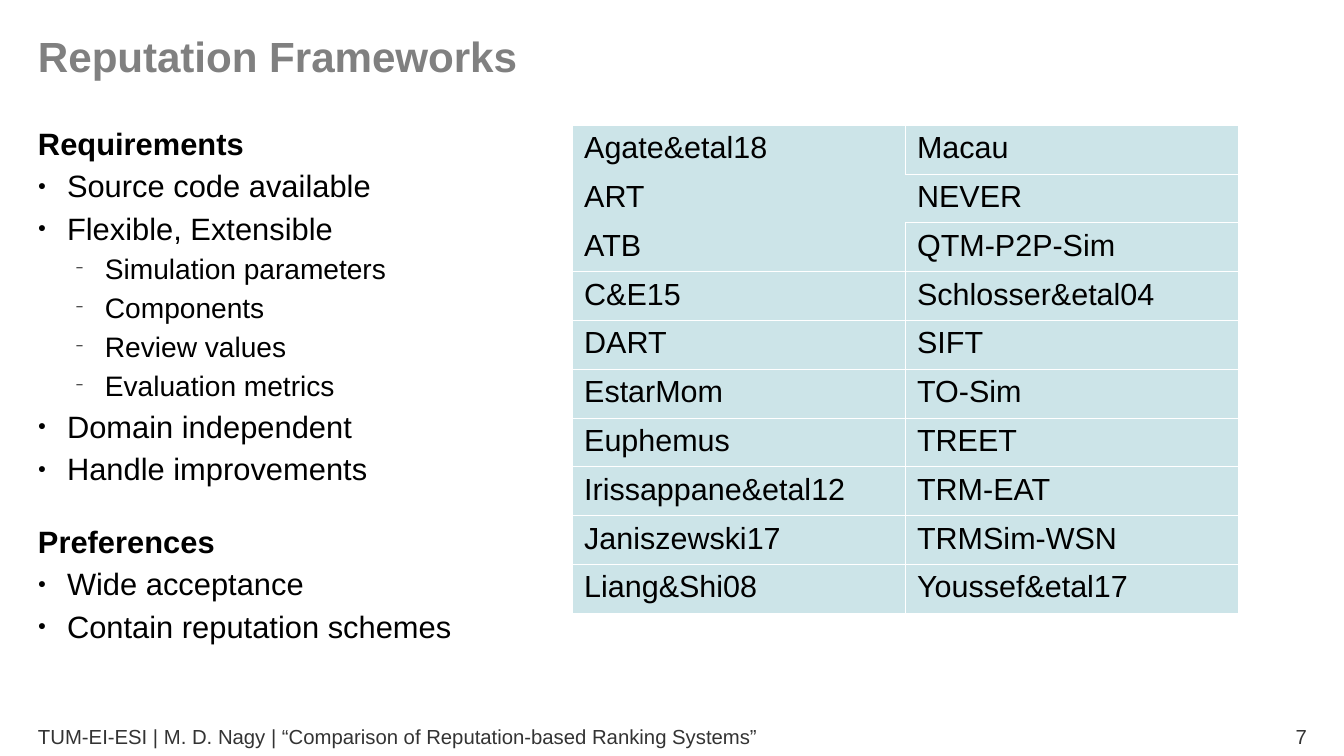
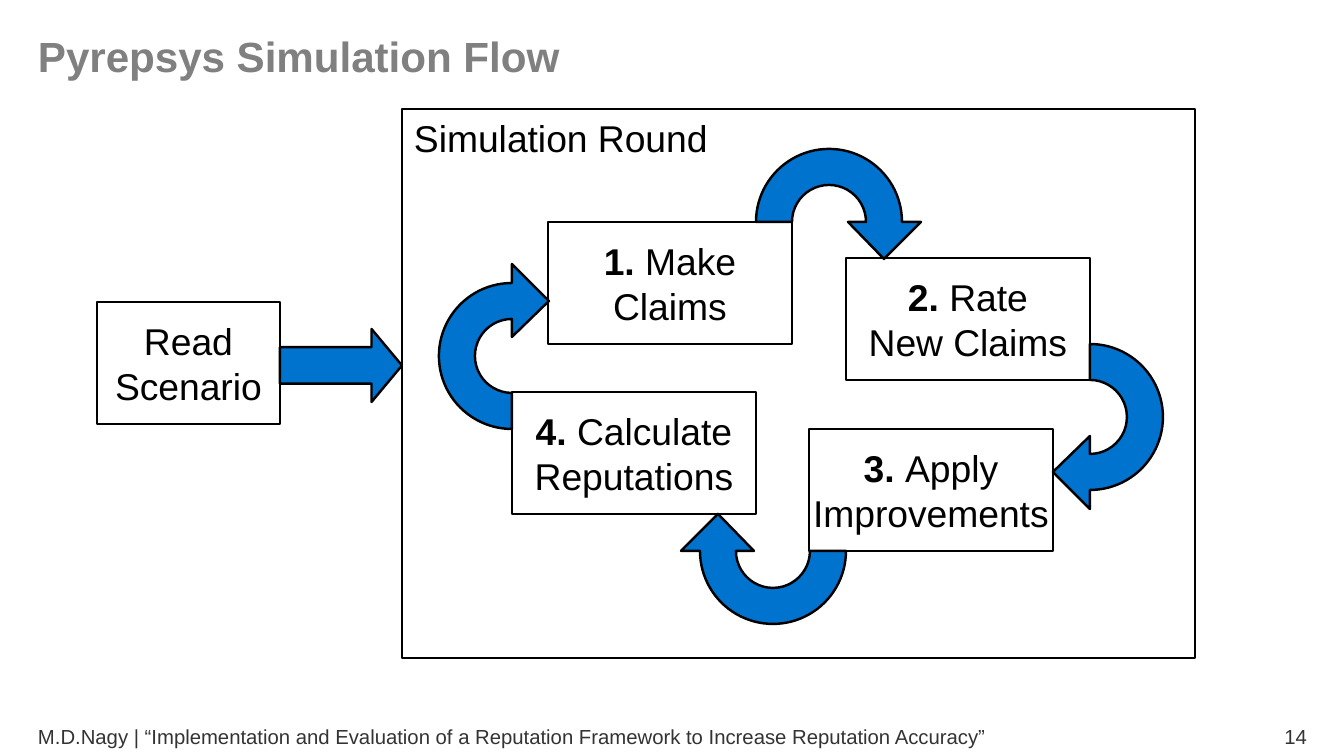
from dataclasses import dataclass

import pptx
import pptx.util
import pptx.dml.color
import pptx.enum.shapes
import pptx.enum.text
import pptx.oxml
import pptx.oxml.ns
from lxml import etree

SHAPE = pptx.enum.shapes.MSO_SHAPE
ALIGN = pptx.enum.text.PP_ALIGN
ANCHOR = pptx.enum.text.MSO_ANCHOR
PX_PER_INCH = 122
TWO_CONTENT, TITLE_ONLY = 3, 5
QUARTER = 90 * 60000


@dataclass(frozen=True)
class Theme:
    font: str = "Arial"
    title: str = "808080"
    text: str = "000000"
    footer: str = "333333"
    outline: str = "000000"
    paper: str = "FFFFFF"
    arrow: str = "0073CF"
    cell: str = "CCE4E8"
    title_size: float = 24.9
    list_sizes: tuple = (18.2, 16.6)
    table_size: float = 18
    diagram_size: float = 22
    footer_size: float = 12
    outline_width: float = 1.45
    cell_border_width: float = 0.06


def px(length):
    return pptx.util.Emu(round(length * 914400 / PX_PER_INCH))


def rgb(code):
    return pptx.dml.color.RGBColor.from_string(code)


def add_xml(parent, tag, **attributes):
    return etree.SubElement(parent, pptx.oxml.ns.qn(tag), attributes)


class Deck:
    """Holds the theme and the slide being filled."""

    def __init__(self, theme):
        self.theme = theme
        self.presentation = pptx.Presentation()
        self.presentation.slide_width = px(1344)
        self.presentation.slide_height = px(756)
        self.slide = None

    def start_slide(self, layout, title, footer, number):
        theme = self.theme
        self.slide = self.presentation.slides.add_slide(self.presentation.slide_layouts[layout])
        frame = self.place(self.slide.shapes.title, 38, 32, 1158, 48, ANCHOR.MIDDLE)
        frame.text = title
        frame.paragraphs[0].alignment = ALIGN.LEFT
        self.style(frame.paragraphs[0], theme.title_size, theme.title, True)
        self.footer_text(footer, 38, 953, ALIGN.LEFT)
        self.footer_text(number, 1006, 301, ALIGN.RIGHT)

    def place(self, shape, left, top, width, height, anchor):
        """Move a text shape, remove its insets and return its text frame."""
        shape.left, shape.top, shape.width, shape.height = map(px, (left, top, width, height))
        frame = shape.text_frame
        frame.margin_left = frame.margin_right = frame.margin_top = frame.margin_bottom = 0
        frame.word_wrap = True
        frame.auto_size = pptx.enum.text.MSO_AUTO_SIZE.NONE
        frame.vertical_anchor = anchor
        return frame

    def style(self, paragraph, size, color, bold=False):
        for run in paragraph.runs:
            run.font.name = self.theme.font
            run.font.size = pptx.util.Pt(size)
            run.font.bold = bold
            run.font.color.rgb = rgb(color)

    def footer_text(self, text, left, width, alignment):
        box = self.slide.shapes.add_textbox(0, 0, 0, 0)
        frame = self.place(box, left, 716, width, 40, ANCHOR.MIDDLE)
        frame.text = text
        frame.paragraphs[0].alignment = alignment
        self.style(frame.paragraphs[0], self.theme.footer_size, self.theme.footer)

    def bullet(self, paragraph, level):
        properties = paragraph._p.get_or_add_pPr()
        properties.set("marL", str(px((29, 67)[level])))
        properties.set("indent", str(px(-29)))
        color = add_xml(properties, "a:buClr")
        add_xml(color, "a:srgbClr", val=self.theme.text)
        add_xml(properties, "a:buSzPct", val="45000")
        add_xml(properties, "a:buFont", typeface=self.theme.font)
        add_xml(properties, "a:buChar", char="●−"[level])

    def bullet_list(self, index, top, height, heading, items):
        """Fill a body placeholder with a bold heading and (level, text) items."""
        frame = self.place(self.slide.placeholders[index], 38, top, 511, height, ANCHOR.TOP)
        frame.text = "\n".join([heading] + [text for _, text in items])
        header, *entries = frame.paragraphs
        properties = header._p.get_or_add_pPr()
        properties.set("marL", "0")
        properties.set("indent", "0")
        add_xml(properties, "a:buNone")
        self.style(header, self.theme.list_sizes[0], self.theme.text, True)
        for paragraph, (level, _) in zip(entries, items):
            paragraph.level = level
            self.bullet(paragraph, level)
            self.style(paragraph, self.theme.list_sizes[level], self.theme.text)
        for paragraph in frame.paragraphs:
            paragraph.line_spacing = 1.15
            paragraph.space_before = pptx.util.Pt(0)

    def cell_borders(self, cell, open_edges):
        properties = cell._tc.get_or_add_tcPr()
        width = str(pptx.util.Pt(self.theme.cell_border_width))
        for position, edge in enumerate("LRTB"):
            line = pptx.oxml.parse_xml(f'<a:ln{edge} {pptx.oxml.ns.nsdecls("a")} w="{width}"/>')
            if edge in open_edges:
                add_xml(line, "a:noFill")
            else:
                add_xml(add_xml(line, "a:solidFill"), "a:srgbClr", val=self.theme.paper)
            properties.insert(position, line)

    def table(self, left, top, width, height, rows, open_edges):
        table = self.slide.shapes.add_table(
            len(rows), len(rows[0]), px(left), px(top), px(width), px(height)).table
        table.first_row = table.horz_banding = False
        for row_index, row in enumerate(rows):
            for column_index, text in enumerate(row):
                cell = table.cell(row_index, column_index)
                cell.text_frame.text = text
                self.style(cell.text_frame.paragraphs[0], self.theme.table_size, self.theme.text)
                cell.fill.solid()
                cell.fill.fore_color.rgb = rgb(self.theme.cell)
                self.cell_borders(cell, open_edges.get((row_index, column_index), ""))

    def paint(self, shape, fill):
        shape.shadow.inherit = False
        shape.fill.solid()
        shape.fill.fore_color.rgb = rgb(fill)
        shape.line.color.rgb = rgb(self.theme.outline)
        shape.line.width = pptx.util.Pt(self.theme.outline_width)

    def shape(self, kind, left, top, width, height, fill):
        shape = self.slide.shapes.add_shape(kind, px(left), px(top), px(width), px(height))
        self.paint(shape, fill)
        return shape

    def group_frame(self, left, top, width, height, label):
        shape = self.shape(SHAPE.RECTANGLE, left, top, width, height, self.theme.paper)
        frame = shape.text_frame
        frame.vertical_anchor = ANCHOR.TOP
        frame.text = label
        frame.paragraphs[0].alignment = ALIGN.LEFT
        self.style(frame.paragraphs[0], self.theme.diagram_size, self.theme.text)

    def step_box(self, left, top, width, first_line, second_line, number=""):
        shape = self.shape(SHAPE.RECTANGLE, left, top, width, 122, self.theme.paper)
        shape.text_frame.word_wrap = False
        shape.text_frame.vertical_anchor = ANCHOR.MIDDLE
        paragraph = shape.text_frame.paragraphs[0]
        paragraph.text = number
        paragraph.alignment = ALIGN.CENTER
        paragraph.add_run().text = first_line
        paragraph.add_line_break()
        paragraph.add_run().text = second_line
        self.style(paragraph, self.theme.diagram_size, self.theme.text)
        if number:
            paragraph.runs[0].font.bold = True

    def straight_arrow(self, left, top, width, height):
        arrow = self.shape(SHAPE.RIGHT_ARROW, left, top, width, height, self.theme.arrow)
        arrow.adjustments[0] = 0.5
        arrow.adjustments[1] = 0.417

    def turn_arrow(self, center_x, center_y, quarter_turns):
        """Draw a half-ring arrow, turned clockwise about its centre."""
        outer, inner = 73, 37
        outline = [(-outer, 0), (0, -outer), (outer, 0), (92, 0), (55, 37), (19, 0),
                   (inner, 0), (0, -inner), (-inner, 0)]
        for _ in range(quarter_turns):
            outline = [(-y, x) for x, y in outline]
        points = [(px(center_x + x), px(center_y + y)) for x, y in outline]
        builder = self.slide.shapes.build_freeform(*points[0], scale=1.0)
        builder.add_line_segments(points[1:], close=True)
        arrow = builder.convert_to_shape()
        self.paint(arrow, self.theme.arrow)
        segments = list(arrow._element.iter(pptx.oxml.ns.qn("a:lnTo")))
        arcs = [(0, outer, 2, 1), (1, outer, 3, 1), (6, inner, 0, -1), (7, inner, 3, -1)]
        for index, radius, start, sweep in arcs:
            self.round_segment(segments[index], radius, (start + quarter_turns) % 4, sweep)

    def round_segment(self, segment, radius, start, sweep):
        """Replace a straight segment by an arc; angles count quarter turns."""
        arc = add_xml(segment.getparent(), "a:arcTo", wR=str(px(radius)), hR=str(px(radius)),
                      stAng=str(start * QUARTER), swAng=str(sweep * QUARTER))
        segment.getparent().replace(segment, arc)


def add_frameworks_slide(deck):
    deck.start_slide(
        TWO_CONTENT, "Reputation Frameworks",
        "TUM-EI-ESI | M. D. Nagy | “Comparison of Reputation-based Ranking Systems”", "7")
    deck.bullet_list(1, 119, 383, "Requirements", [
        (0, "Source code available"),
        (0, "Flexible, Extensible"),
        (1, "Simulation parameters"),
        (1, "Components"),
        (1, "Review values"),
        (1, "Evaluation metrics"),
        (0, "Domain independent"),
        (0, "Handle improvements"),
    ])
    deck.bullet_list(2, 517, 159, "Preferences", [
        (0, "Wide acceptance"),
        (0, "Contain reputation schemes"),
    ])
    frameworks = [
        ("Agate&etal18", "Macau"),
        ("ART", "NEVER"),
        ("ATB", "QTM-P2P-Sim"),
        ("C&E15", "Schlosser&etal04"),
        ("DART", "SIFT"),
        ("EstarMom", "TO-Sim"),
        ("Euphemus", "TREET"),
        ("Irissappane&etal12", "TRM-EAT"),
        ("Janiszewski17", "TRMSim-WSN"),
        ("Liang&Shi08", "Youssef&etal17"),
    ]
    open_edges = {(0, 0): "B", (1, 0): "TRB", (1, 1): "L", (2, 0): "T"}
    deck.table(572, 125, 666, 488, frameworks, open_edges)


def add_flow_slide(deck):
    deck.start_slide(
        TITLE_ONLY, "Pyrepsys Simulation Flow",
        "M.D.Nagy | “Implementation and Evaluation of a Reputation Framework "
        "to Increase Reputation Accuracy”", "14")
    deck.group_frame(402, 109, 793, 549, "Simulation Round")
    steps = [
        (548, 222, "1. ", "Make", "Claims"),
        (846, 258, "2.", " Rate", "New Claims"),
        (809, 429, "3. ", "Apply", "Improvements"),
        (512, 392, "4. ", "Calculate", "Reputations"),
    ]
    for left, top, number, first_line, second_line in steps:
        deck.step_box(left, top, 244, first_line, second_line, number)
    turn_centers = [(829, 222), (1090, 417), (773, 551), (512, 356)]
    for quarter_turns, (center_x, center_y) in enumerate(turn_centers):
        deck.turn_arrow(center_x, center_y, quarter_turns)
    deck.step_box(97, 302, 183, "Read", "Scenario")
    deck.straight_arrow(280, 329, 122, 73)


def main():
    deck = Deck(Theme())
    add_frameworks_slide(deck)
    add_flow_slide(deck)
    deck.presentation.save("out.pptx")


if __name__ == "__main__":
    main()
